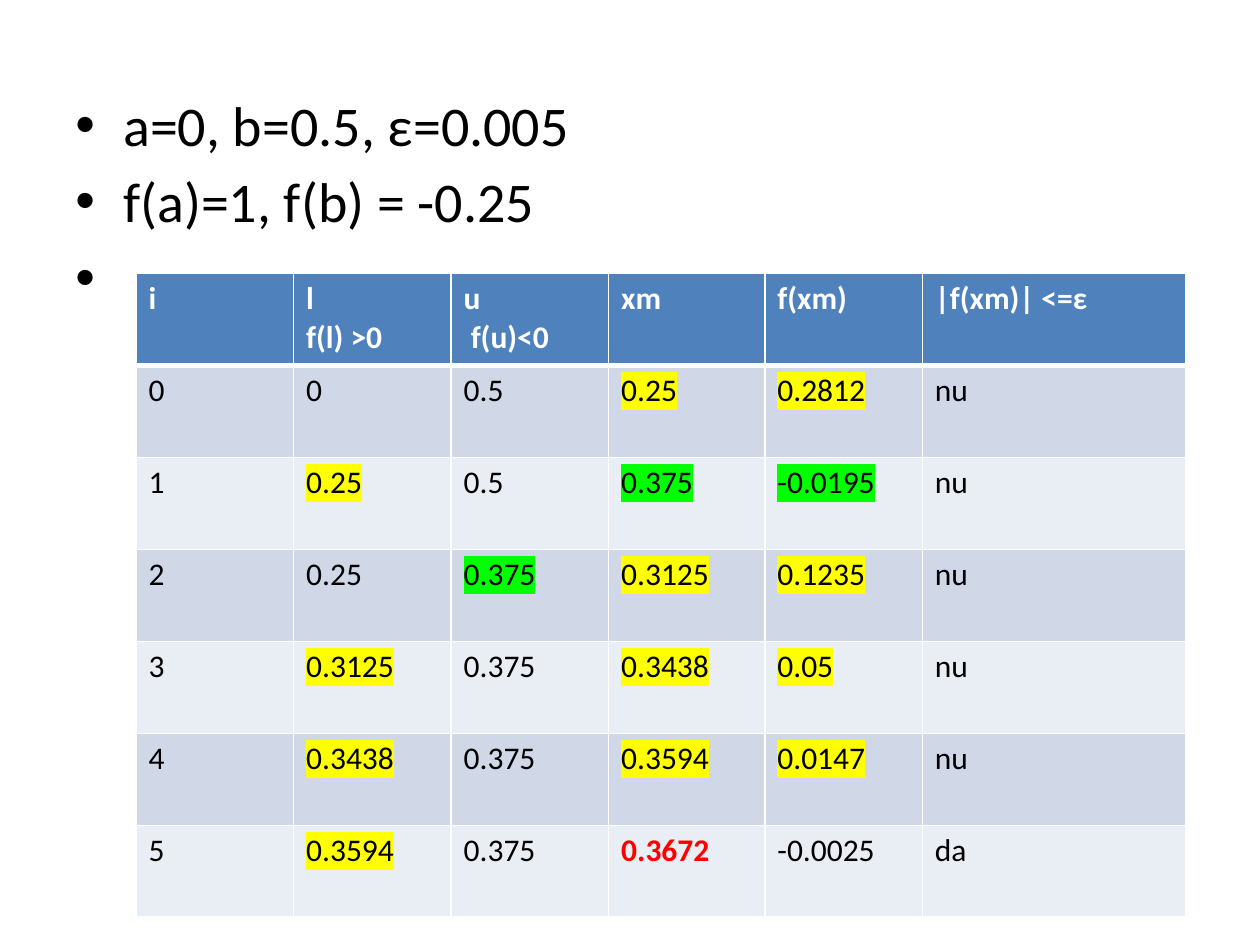
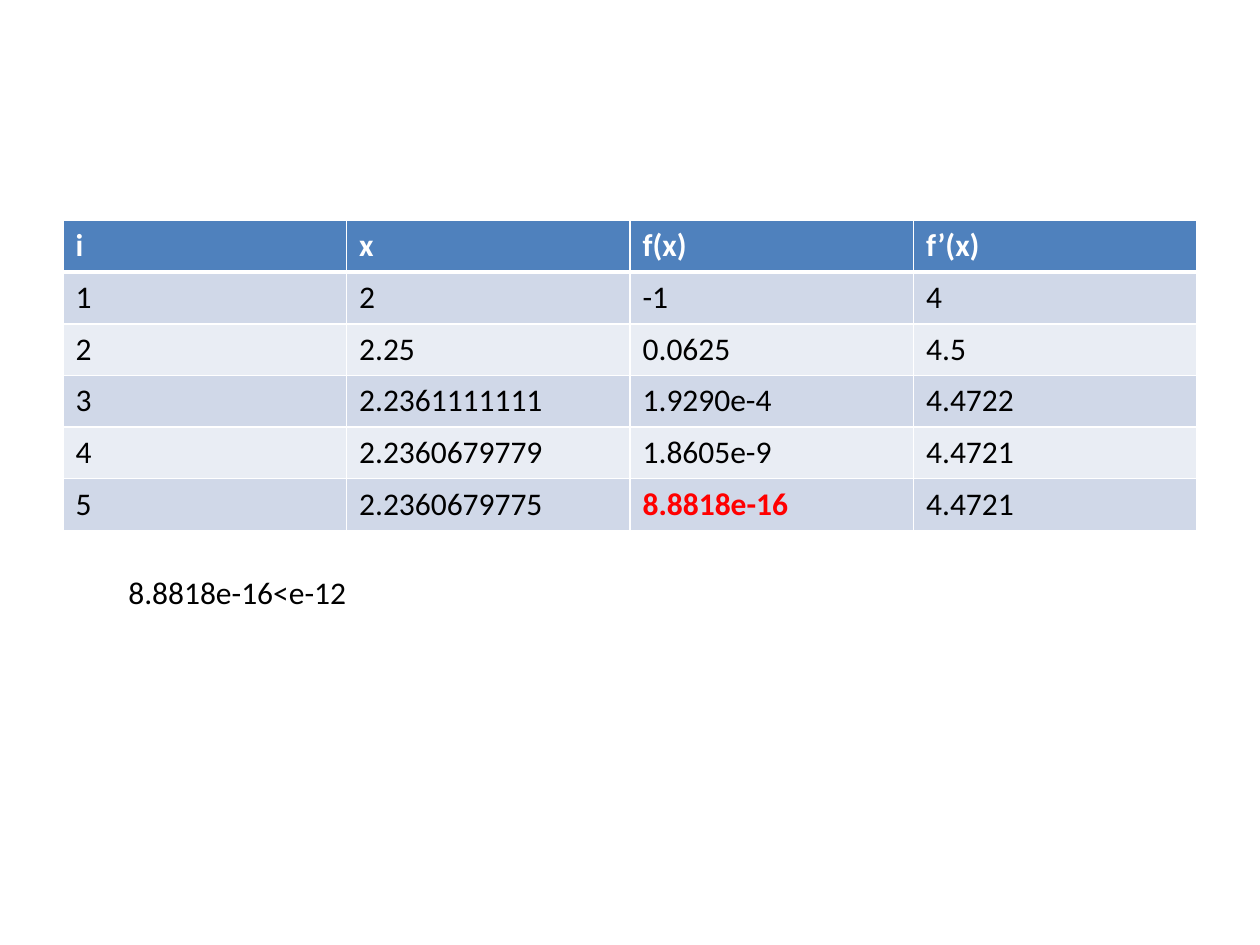
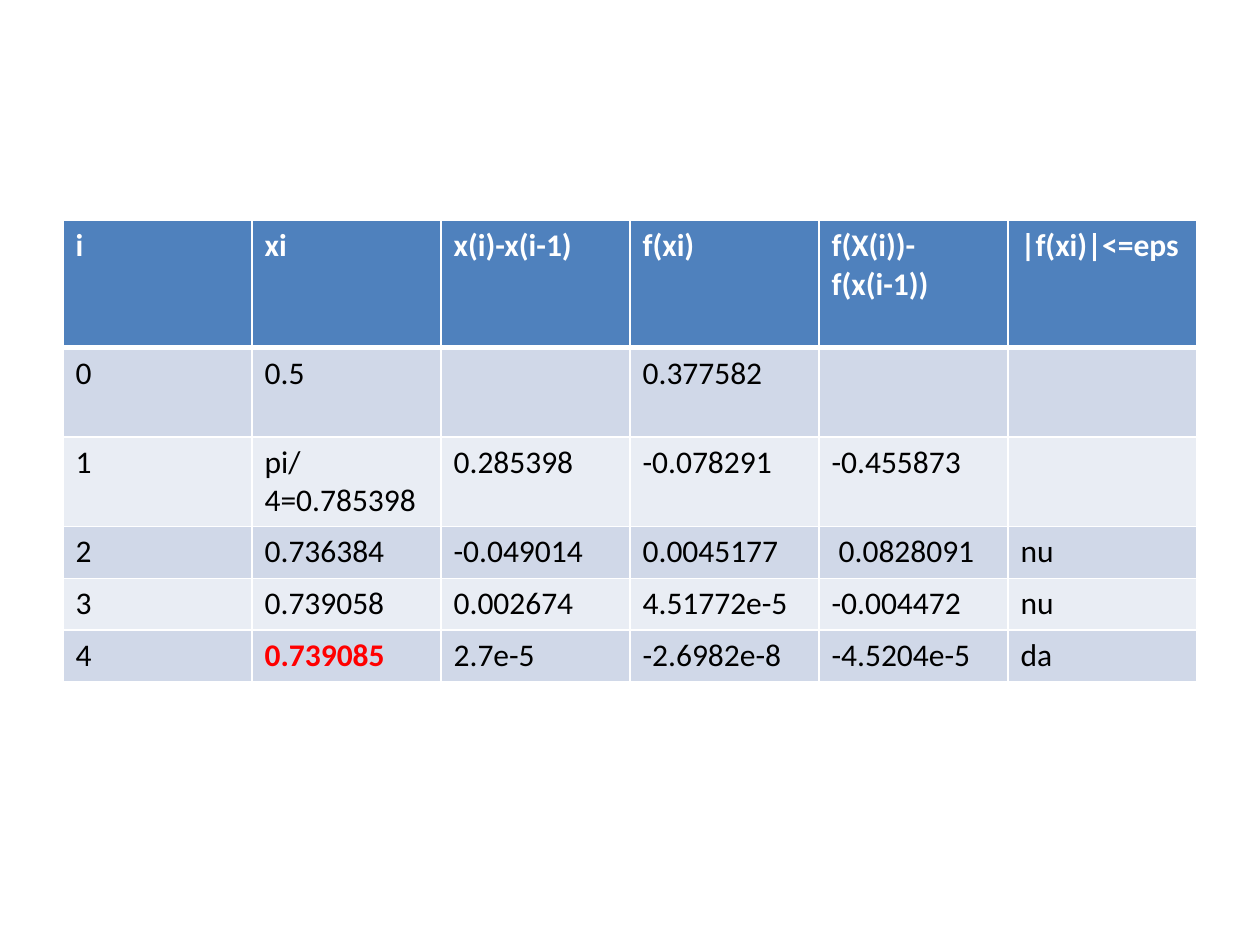
from lxml import etree
from pptx import Presentation
from pptx.dml.color import RGBColor
from pptx.oxml.ns import qn
from pptx.util import Inches, Pt

FONT = "Calibri"
TABLE_SIZE = 18
COLORS = {
    "text": "000000",
    "header": "4F81BD",
    "header_text": "FFFFFF",
    "border": "FFFFFF",
    "odd_band": "D0D8E8",
    "even_band": "E9EDF4",
    "result": "FF0000",
    "positive": "FFFF00",
    "negative": "00FF00",
}

BISECTION = [
    ["i", "l\nf(l) >0", "u\n f(u)<0", "xm", "f(xm)", "|f(xm)| <=ε"],
    ["0", "0", "0.5", "0.25", "0.2812", "nu"],
    ["1", "0.25", "0.5", "0.375", "-0.0195", "nu"],
    ["2", "0.25", "0.375", "0.3125", "0.1235", "nu"],
    ["3", "0.3125", "0.375", "0.3438", "0.05", "nu"],
    ["4", "0.3438", "0.375", "0.3594", "0.0147", "nu"],
    ["5", "0.3594", "0.375", "0.3672", "-0.0025", "da"],
]
# Marks are keyed by (row, column)
BISECTION_MARKS = {
    **{(row, col): "positive" for row in (1, 3, 4, 5) for col in (3, 4)},
    **{(row, 1): "positive" for row in (2, 4, 5, 6)},
    **{cell: "negative" for cell in ((2, 3), (2, 4), (3, 2))},
    (6, 3): "result",
}

NEWTON = [
    ["i", "x", "f(x)", "f’(x)"],
    ["1", "2", "-1", "4"],
    ["2", "2.25", "0.0625", "4.5"],
    ["3", "2.2361111111", "1.9290e-4", "4.4722"],
    ["4", "2.2360679779", "1.8605e-9", "4.4721"],
    ["5", "2.2360679775", "8.8818e-16", "4.4721"],
]

SECANT = [
    ["i", "xi", "x(i)-x(i-1)", "f(xi)", "f(X(i))-f(x(i-1))", "|f(xi)|<=eps"],
    ["0", "0.5", "", "0.377582", "", ""],
    ["1", "pi/4=0.785398", "0.285398", "-0.078291", "-0.455873", ""],
    ["2", "0.736384", "-0.049014", "0.0045177", " 0.0828091", "nu"],
    ["3", "0.739058", "0.002674", "4.51772e-5", "-0.004472", "nu"],
    ["4", "0.739085", "2.7e-5", "-2.6982e-8", "-4.5204e-5", "da"],
]


def rgb(name):
    return RGBColor.from_string(COLORS[name])


def format_runs(tf, size, color="text", bold=False):
    for p in tf.paragraphs:
        for r in p.runs:
            r.font.name = FONT
            r.font.size = Pt(size)
            r.font.bold = bold
            r.font.color.rgb = rgb(color)


def highlight(tf, color):
    for p in tf.paragraphs:
        for r in p.runs:
            mark = etree.Element(qn("a:highlight"))
            etree.SubElement(mark, qn("a:srgbClr"), val=COLORS[color])
            r.font._element.find(qn("a:solidFill")).addnext(mark)


def set_borders(cell, top=1, bottom=1):
    """Draw the four cell borders, with widths in points."""
    tcPr = cell._tc.get_or_add_tcPr()
    for side, width in (("L", 1), ("R", 1), ("T", top), ("B", bottom)):
        ln = etree.SubElement(tcPr, qn(f"a:ln{side}"), w=str(Pt(width)))
        fill = etree.SubElement(ln, qn("a:solidFill"))
        etree.SubElement(fill, qn("a:srgbClr"), val=COLORS["border"])


def format_cell(cell, row, mark):
    set_borders(cell, top=3 if row == 1 else 1, bottom=3 if row == 0 else 1)
    cell.fill.solid()
    tf = cell.text_frame
    if row == 0:
        cell.fill.fore_color.rgb = rgb("header")
        format_runs(tf, TABLE_SIZE, "header_text", bold=True)
        return
    cell.fill.fore_color.rgb = rgb("odd_band" if row % 2 else "even_band")
    if mark == "result":
        format_runs(tf, TABLE_SIZE, mark, bold=True)
    else:
        format_runs(tf, TABLE_SIZE)
        if mark:
            highlight(tf, mark)


def add_iterations(slide, box, rows, widths, heights, marks):
    """Add a banded table of iterations; box, widths and heights in inches."""
    sp = slide.shapes.add_table(len(rows), len(rows[0]), *map(Inches, box))
    table = sp.table
    for column, width in zip(table.columns, widths):
        column.width = Inches(width)
    for row, height in zip(table.rows, heights):
        row.height = Inches(height)
    for i, values in enumerate(rows):
        for j, value in enumerate(values):
            cell = table.cell(i, j)
            cell.text_frame.text = value
            format_cell(cell, i, marks.get((i, j)))


def add_bullets(slide, box, lines):
    tf = slide.shapes.add_textbox(*map(Inches, box)).text_frame
    tf.word_wrap = True
    tf.text = "\n".join(lines)
    indent = Inches(0.38)
    for i, p in enumerate(tf.paragraphs):
        pPr = p._p.get_or_add_pPr()
        pPr.set("marL", str(indent))
        pPr.set("indent", str(-indent))
        etree.SubElement(pPr, qn("a:buFont"), typeface="Arial")
        etree.SubElement(pPr, qn("a:buChar"), char="•")
        if i:
            p.space_before = Pt(5.2)
    format_runs(tf, 32)


def add_note(slide, box, note):
    tf = slide.shapes.add_textbox(*map(Inches, box)).text_frame
    tf.word_wrap = False
    tf.text = note
    format_runs(tf, TABLE_SIZE)


def bisection_slide(slide):
    add_bullets(slide, (0.5, 0.67, 9, 6.03),
                ["a=0, b=0.5, ε=0.005", "f(a)=1, f(b) = -0.25", " "])
    add_iterations(slide, (1.08, 2.17, 8.33, 5.08), BISECTION,
                   [1.25, 1.25, 1.25, 1.24, 1.25, 2.09],
                   [0.73] * len(BISECTION), BISECTION_MARKS)


def newton_slide(slide):
    add_iterations(slide, (0.5, 1.75, 9, 2.43), NEWTON, [2.25] * 4,
                   [0.41] * len(NEWTON), {(5, 2): "result"})
    add_note(slide, (0.92, 4.5, 1.95, 0.71), "8.8818e-16<e-12")


def secant_slide(slide):
    add_iterations(slide, (0.5, 1.75, 9, 3.62), SECANT, [1.5] * 6,
                   [1.01, 0.71, 0.71, 0.41, 0.41, 0.41], {(5, 1): "result"})


def main():
    prs = Presentation()
    prs.slide_width = Inches(10)
    prs.slide_height = Inches(7.5)
    blank = prs.slide_layouts[6]
    for build in (bisection_slide, newton_slide, secant_slide):
        build(prs.slides.add_slide(blank))
    prs.save("out.pptx")


if __name__ == "__main__":
    main()
